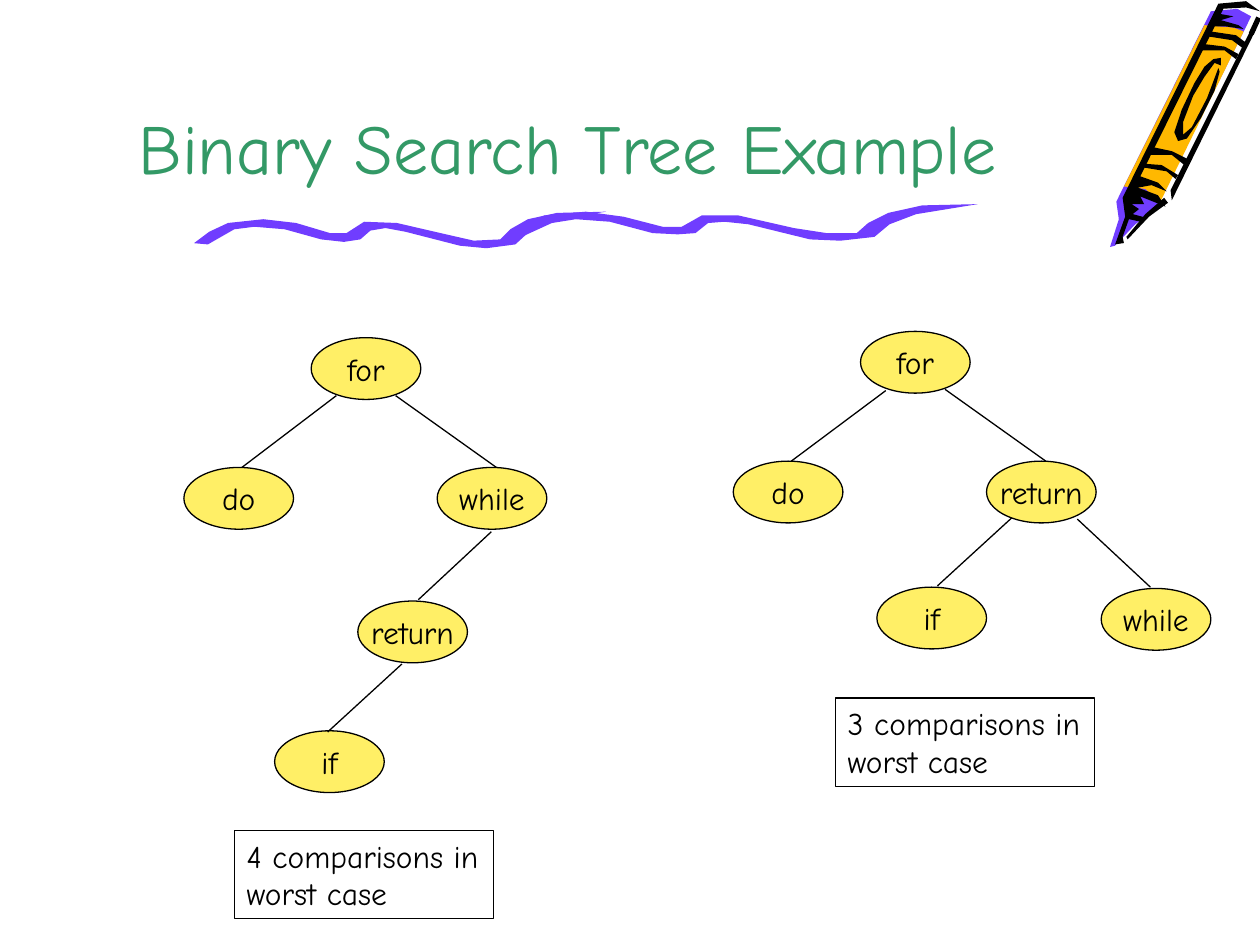
"""Build a slide comparing the worst case of two binary search trees."""
from lxml import etree
from pptx import Presentation
from pptx.dml.color import RGBColor
from pptx.enum.shapes import MSO_CONNECTOR, MSO_SHAPE
from pptx.enum.text import MSO_ANCHOR, PP_ALIGN
from pptx.oxml.ns import qn
from pptx.util import Pt

PX = 9144
FONT = "Comic Neue"
BLACK, PURPLE, ORANGE, YELLOW, GREEN = "000000", "703DFF", "FFB800", "FFEF66", "339966"
STRAIGHT = MSO_CONNECTOR.STRAIGHT
OVAL = MSO_SHAPE.OVAL
MIDDLE, BOTTOM, TOP = MSO_ANCHOR.MIDDLE, MSO_ANCHOR.BOTTOM, MSO_ANCHOR.TOP
CENTER, LEFT = PP_ALIGN.CENTER, PP_ALIGN.LEFT
NODE_WIDTH, NODE_HEIGHT = 87, 49


def color(value):
    return RGBColor.from_string(value)


def write(shape, text, size, ink, anchor, alignment, wrap):
    frame = shape.text_frame
    frame.text = text
    frame.word_wrap = wrap
    frame.vertical_anchor = anchor
    paragraph = frame.paragraphs[0]
    paragraph.alignment = alignment
    font = paragraph.runs[0].font
    font.name, font.size = FONT, Pt(size)
    font.color.rgb = color(ink)


deck = Presentation()
deck.slide_width, deck.slide_height = 1000 * PX, 750 * PX
page = deck.slides.add_slide(deck.slide_layouts[5])
shapes = page.shapes

crayon = [
    (PURPLE, [(993, 13), (917, 166), (901, 178), (885, 195), (881, 196), (888, 174),
              (886, 160), (961, 9), (982, 7)]),
    (ORANGE, [(921, 160), (909, 150), (892, 148), (956, 20), (979, 22), (987, 25)]),
    (BLACK, [(927, 161), (912, 172), (895, 190), (894, 188), (909, 170), (924, 157)]),
    (BLACK, [(987, 23), (973, 21), (961, 21), (968, 11), (979, 13), (969, 16), (983, 20)]),
    (BLACK, [(968, 57), (964, 72), (953, 94), (942, 110), (935, 112), (932, 105),
             (938, 87), (948, 66), (956, 53), (963, 47), (969, 46), (969, 52), (964, 50),
             (956, 61), (947, 76), (939, 97), (939, 107), (946, 101), (958, 78), (967, 54)]),
    (BLACK, [(997, 23), (930, 159), (929, 151), (993, 23)]),
    (BLACK, [(925, 164), (919, 155), (903, 149), (914, 147), (926, 152), (919, 145),
             (905, 140), (971, 7), (989, 6), (1000, 9), (989, 1), (967, 3), (891, 157),
             (893, 172), (885, 194), (892, 193), (891, 188), (896, 174), (905, 176),
             (910, 173), (899, 170), (904, 166), (898, 162), (908, 162), (905, 156)]),
    (BLACK, [(933, 142), (926, 136), (908, 133), (909, 130), (922, 131), (935, 139)]),
    (BLACK, [(940, 131), (930, 123), (913, 123), (916, 117), (930, 120), (942, 126)]),
    (BLACK, [(981, 47), (972, 40), (953, 40), (956, 35), (972, 37), (983, 43)]),
    (BLACK, [(986, 38), (978, 32), (959, 29), (961, 25), (981, 28), (989, 34)]),
]
waves = [
    (PURPLE, [(165, 194), (186, 182), (202, 180), (226, 182), (255, 190), (273, 192),
              (286, 190), (294, 183), (306, 181), (322, 184), (365, 195), (386, 197),
              (409, 194), (420, 184), (438, 175), (481, 168), (442, 169), (419, 174),
              (405, 182), (397, 190), (376, 191), (354, 186), (315, 177), (289, 176),
              (275, 185), (262, 185), (235, 177), (209, 174), (181, 177), (166, 184),
              (154, 193)]),
    (PURPLE, [(414, 188), (438, 177), (457, 174), (484, 176), (518, 185), (538, 186),
              (552, 185), (562, 177), (575, 176), (594, 178), (643, 190), (667, 191),
              (694, 188), (706, 178), (727, 170), (776, 162), (732, 163), (705, 169),
              (689, 177), (680, 185), (656, 185), (630, 181), (586, 171), (557, 171),
              (541, 180), (526, 180), (495, 172), (465, 168), (432, 171), (415, 178),
              (401, 188)]),
]
for fill, points in crayon + waves:
    builder = shapes.build_freeform(*points[0], scale=PX)
    builder.add_line_segments(points[1:], close=True)
    outline = builder.convert_to_shape()
    outline.shadow.inherit = False
    outline.fill.solid()
    outline.fill.fore_color.rgb = color(fill)
    outline.line.fill.background()

title = shapes.title
title.left, title.top, title.width, title.height = 75 * PX, 0, 751 * PX, 155 * PX
write(title, "Binary Search Tree Example", 40, GREEN, BOTTOM, CENTER, True)

nodes = [
    ("for", 247, 268), ("do", 146, 371), ("while", 347, 371), ("return", 284, 477), ("if", 218, 580),
    ("for", 683, 263), ("do", 582, 366), ("return", 783, 366), ("if", 696, 466), ("while", 874, 467),
]
for word, left, top in nodes:
    node = shapes.add_shape(OVAL, left * PX, top * PX, NODE_WIDTH * PX, NODE_HEIGHT * PX)
    node.shadow.inherit = False
    node.fill.solid()
    node.fill.fore_color.rgb = color(YELLOW)
    node.line.color.rgb = color(BLACK)
    node.line.width = Pt(0.75)
    write(node, word, 18, BLACK, MIDDLE, CENTER, False)

tree_edges = [
    (314, 314, 394, 371), (267, 314, 192, 371), (390, 422, 332, 476), (319, 527, 260, 581),
    (750, 309, 830, 366), (703, 310, 628, 366), (803, 411, 744, 465), (855, 412, 913, 466),
]
crayon_edge = (999, 14, 993, 27)
for ends, width in [(crayon_edge, 3)] + [(edge, 0.75) for edge in tree_edges]:
    edge = shapes.add_connector(STRAIGHT, *(value * PX for value in ends))
    edge.line.color.rgb = color(BLACK)
    edge.line.width = Pt(width)
    etree.SubElement(edge._element.spPr, qn("a:effectLst"))

for text, left, top in [("4 comparisons in worst case", 186, 659),
                        ("3 comparisons in worst case", 663, 554)]:
    note = shapes.add_textbox(left * PX, top * PX, 206 * PX, 70 * PX)
    note.line.color.rgb = color(BLACK)
    note.line.width = Pt(0.75)
    write(note, text, 18, BLACK, TOP, LEFT, True)

deck.save("out.pptx")
